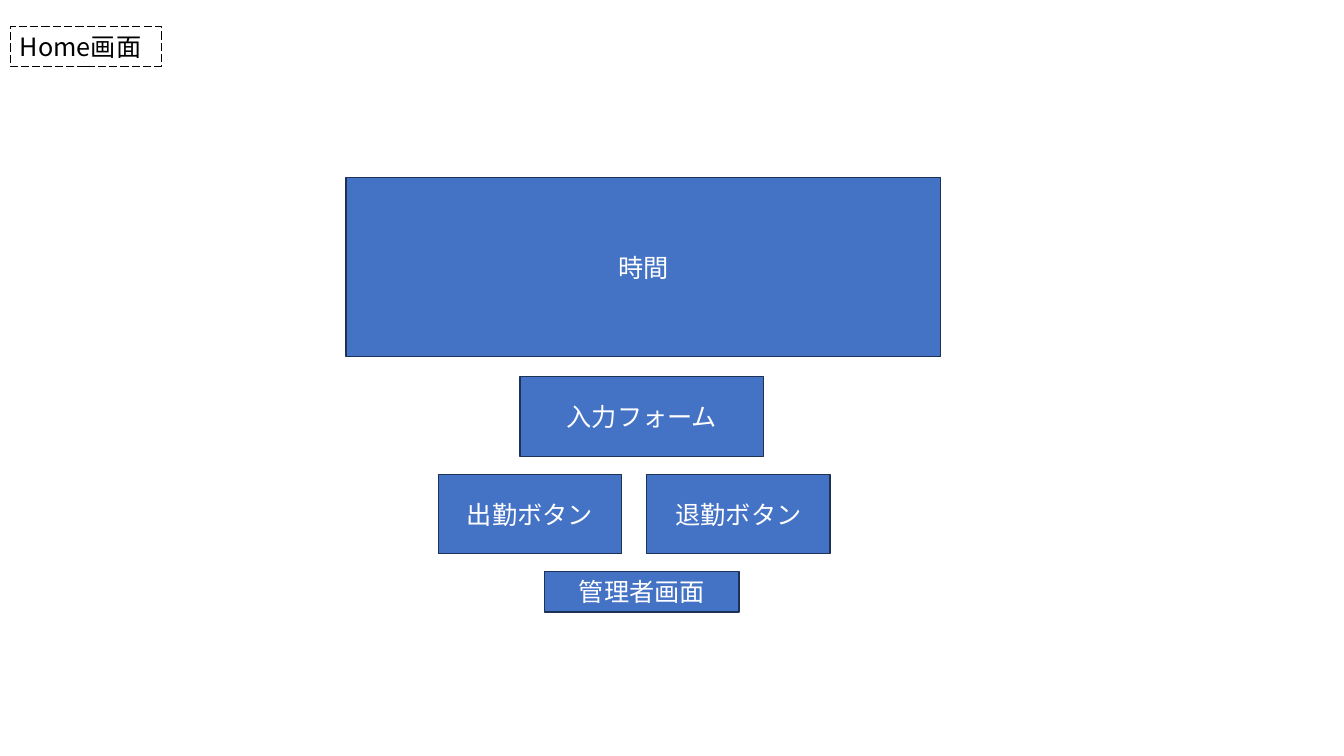
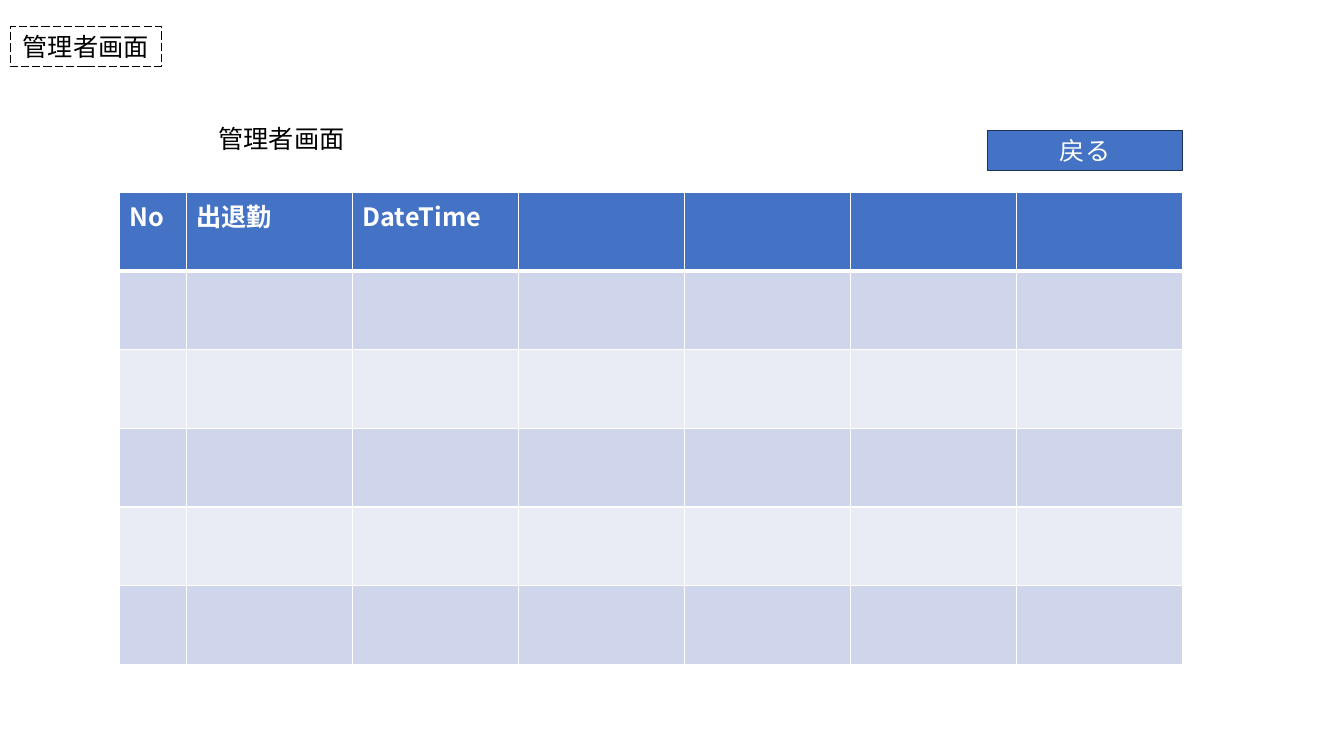
import pptx
import pptx.util
import pptx.dml.color
import pptx.enum.dml
import pptx.enum.shapes
import pptx.enum.text
import pptx.oxml

Pt = pptx.util.Pt
RGBColor = pptx.dml.color.RGBColor
ALIGN = pptx.enum.text.PP_ALIGN
ANCHOR = pptx.enum.text.MSO_ANCHOR
RECT = pptx.enum.shapes.MSO_SHAPE.RECTANGLE

BLUE = RGBColor(0x44, 0x72, 0xC4)
NAVY = RGBColor(0x1E, 0x32, 0x56)
BAND_DARK = RGBColor(0xCF, 0xD5, 0xEA)
BAND_LIGHT = RGBColor(0xE9, 0xEB, 0xF5)
WHITE = RGBColor(0xFF, 0xFF, 0xFF)
BLACK = RGBColor(0, 0, 0)
FONT = "Noto Sans CJK JP"
SMALL_BUTTON = (139, 29)


def put_text(tf, text, color=BLACK, bold=False, align=ALIGN.LEFT):
    p = tf.paragraphs[0]
    p.alignment = align
    r = p.add_run()
    r.text = text
    r.font.size = Pt(18)
    r.font.name = FONT
    r.font.bold = bold
    r.font.color.rgb = color
    ea = pptx.oxml.parse_xml(
        '<a:ea xmlns:a="http://schemas.openxmlformats.org/drawingml/2006/main" '
        f'typeface="{FONT}"/>')
    r.font._element.append(ea)


def add_rect(s, x, y, w, h, line, weight):
    sp = s.shapes.add_shape(RECT, Pt(x), Pt(y), Pt(w), Pt(h))
    sp.shadow.inherit = False
    sp.line.color.rgb = line
    sp.line.width = Pt(weight)
    sp.text_frame.word_wrap = True
    return sp


def add_button(s, x, y, w, h, text):
    sp = add_rect(s, x, y, w, h, NAVY, 1)
    sp.fill.solid()
    sp.fill.fore_color.rgb = BLUE
    sp.text_frame.vertical_anchor = ANCHOR.MIDDLE
    put_text(sp.text_frame, text, color=WHITE, align=ALIGN.CENTER)


def add_screen(prs, name, align):
    s = prs.slides.add_slide(prs.slide_layouts[6])
    sp = add_rect(s, 7.2, 18.8, 108, 29, BLACK, 0.75)
    sp.fill.background()
    sp.line.dash_style = pptx.enum.dml.MSO_LINE.LONG_DASH
    sp.text_frame.vertical_anchor = ANCHOR.TOP
    put_text(sp.text_frame, name, align=align)
    return s


def add_clock_panel(s, x, y, w):
    center = x + w / 2 - 1
    add_button(s, x, y, w, 128, "時間")
    add_button(s, center - 87, y + 142.2, 174, 57, "入力フォーム")
    for i, text in enumerate(("出勤ボタン", "退勤ボタン")):
        add_button(s, x + 66 + i * 149, y + 212.2, 131, 56.6, text)
    bw, bh = SMALL_BUTTON
    add_button(s, center - bw / 2, y + 281.4, bw, bh, "管理者画面")


def set_border(cell, side, weight):
    cell._tc.get_or_add_tcPr().append(pptx.oxml.parse_xml(
        f'<a:{side} xmlns:a="http://schemas.openxmlformats.org/drawingml/2006/main" '
        f'w="{Pt(weight)}"><a:solidFill><a:srgbClr val="{WHITE}"/></a:solidFill></a:{side}>'))


def add_log_table(s, x, y, w, h, headers, cols=7, rows=6, first=47.6):
    table = s.shapes.add_table(rows, cols, Pt(x), Pt(y), Pt(w), Pt(h)).table
    for i, col in enumerate(table.columns):
        col.width = Pt(first if i == 0 else (w - first) / (cols - 1))
    for i, row in enumerate(table.rows):
        row.height = Pt(h / rows)
        for cell in row.cells:
            for side in ("lnL", "lnR", "lnT", "lnB"):
                thick = (i, side) in ((0, "lnB"), (1, "lnT"))
                set_border(cell, side, 3 if thick else 1)
            cell.fill.solid()
            cell.fill.fore_color.rgb = (
                BLUE if i == 0 else BAND_DARK if i % 2 else BAND_LIGHT)
    for i, text in enumerate(headers):
        put_text(table.cell(0, i).text_frame, text, color=WHITE, bold=True)


def add_admin_panel(s, x, y, w):
    tf = s.shapes.add_textbox(Pt(x + 63.4), Pt(y), Pt(105), Pt(29)).text_frame
    tf.word_wrap = False
    put_text(tf, "管理者画面")
    bw, bh = SMALL_BUTTON
    add_button(s, x + w - bw, y + 8.6, bw, bh, "戻る")
    add_log_table(s, x, y + 53, w, 337.2, ("No", "出退勤", "DateTime"))


def main():
    prs = pptx.Presentation()
    prs.slide_width, prs.slide_height = Pt(960), Pt(540)
    add_clock_panel(add_screen(prs, "Home画面", ALIGN.LEFT), 247, 126.8, 425)
    add_admin_panel(add_screen(prs, "管理者画面", ALIGN.CENTER), 85.6, 84.4, 759)
    prs.save("out.pptx")


if __name__ == "__main__":
    main()
